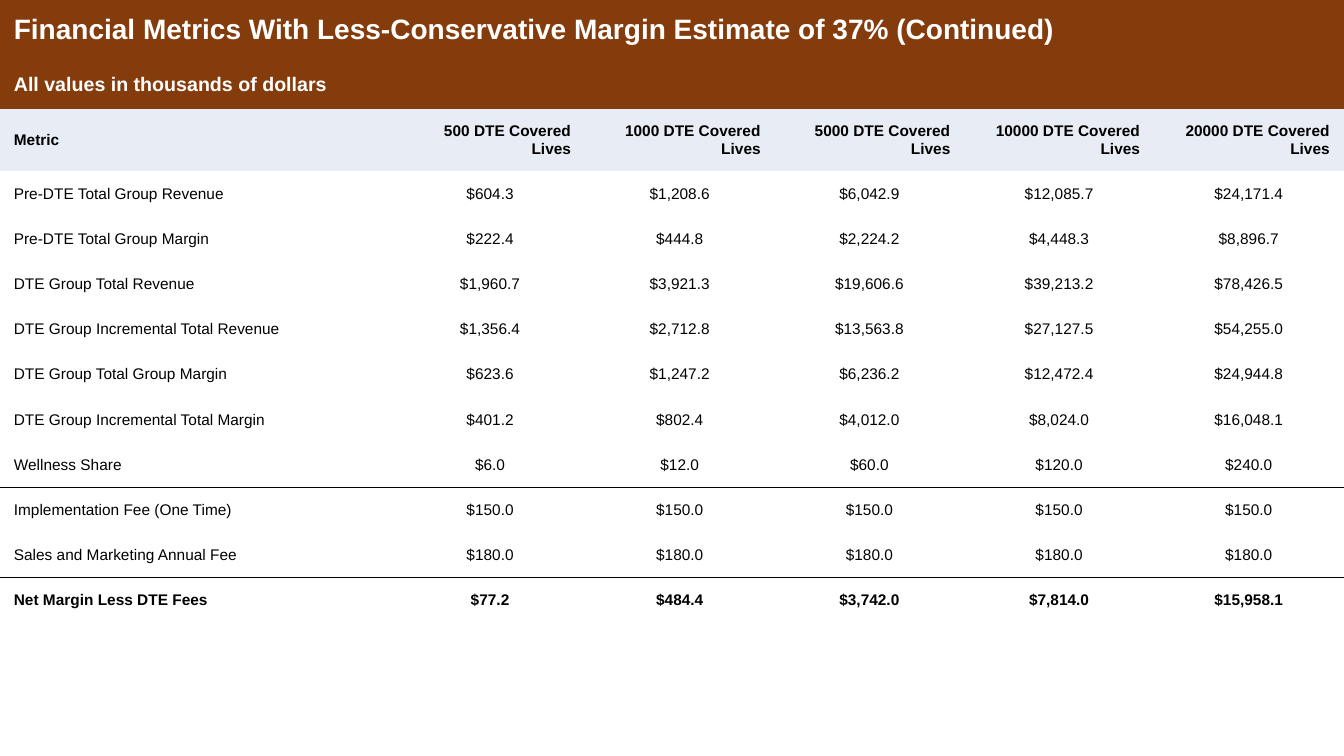
"""Build a slide with a table of financial metrics by number of covered lives."""

from dataclasses import dataclass

from lxml.etree import SubElement
from pptx import Presentation
from pptx.dml.color import RGBColor
from pptx.enum.text import MSO_ANCHOR, PP_ALIGN
from pptx.oxml import parse_xml
from pptx.oxml.ns import nsdecls, qn
from pptx.table import Table, _Cell
from pptx.util import Cm, Pt

BROWN, PALE_BLUE, WHITE, BLACK = "843C0C", "E7ECF5", "FFFFFF", "000000"
NO_STYLE = "{2D5ABB26-0587-4C30-8999-92F81FD0307C}"
COLUMN_WIDTHS = [9.96] + [4.78] * 5


@dataclass(frozen=True)
class RowStyle:
    height: float = 1.14
    size: int = 11
    bold: bool = False
    color: str = BLACK
    fill: str | None = None
    value_alignment: PP_ALIGN = PP_ALIGN.CENTER
    line_above: bool = False
    line_below: bool = False


@dataclass(frozen=True)
class MetricRow:
    texts: tuple[str, ...]
    style: RowStyle = RowStyle()


TITLE = RowStyle(height=1.5, size=20, bold=True, color=WHITE, fill=BROWN)
SUBTITLE = RowStyle(height=1.25, size=14, bold=True, color=WHITE, fill=BROWN)
HEADER = RowStyle(height=1.56, bold=True, fill=PALE_BLUE, value_alignment=PP_ALIGN.RIGHT)
SECTION_START = RowStyle(line_above=True)
SECTION_END = RowStyle(line_below=True)
TOTAL = RowStyle(bold=True, line_above=True)

ROWS = [
    MetricRow(("Financial Metrics With Less-Conservative Margin Estimate of 37% (Continued)",), TITLE),
    MetricRow(("All values in thousands of dollars",), SUBTITLE),
    MetricRow(
        ("Metric", *(f"{lives} DTE Covered Lives" for lives in (500, 1000, 5000, 10000, 20000))),
        HEADER,
    ),
    MetricRow(("Pre-DTE Total Group Revenue", "$604.3", "$1,208.6", "$6,042.9", "$12,085.7", "$24,171.4")),
    MetricRow(("Pre-DTE Total Group Margin", "$222.4", "$444.8", "$2,224.2", "$4,448.3", "$8,896.7")),
    MetricRow(("DTE Group Total Revenue", "$1,960.7", "$3,921.3", "$19,606.6", "$39,213.2", "$78,426.5")),
    MetricRow(
        ("DTE Group Incremental Total Revenue", "$1,356.4", "$2,712.8", "$13,563.8", "$27,127.5", "$54,255.0")
    ),
    MetricRow(("DTE Group Total Group Margin", "$623.6", "$1,247.2", "$6,236.2", "$12,472.4", "$24,944.8")),
    MetricRow(("DTE Group Incremental Total Margin", "$401.2", "$802.4", "$4,012.0", "$8,024.0", "$16,048.1")),
    MetricRow(("Wellness Share", "$6.0", "$12.0", "$60.0", "$120.0", "$240.0"), SECTION_END),
    MetricRow(("Implementation Fee (One Time)", *["$150.0"] * 5), SECTION_START),
    MetricRow(("Sales and Marketing Annual Fee", *["$180.0"] * 5), SECTION_END),
    MetricRow(("Net Margin Less DTE Fees", "$77.2", "$484.4", "$3,742.0", "$7,814.0", "$15,958.1"), TOTAL),
]


def rgb(color: str) -> RGBColor:
    return RGBColor.from_string(color)


def set_borders(cell: _Cell, style: RowStyle) -> None:
    properties = cell._tc.get_or_add_tcPr()
    sides = {"lnL": False, "lnR": False, "lnT": style.line_above, "lnB": style.line_below}
    for position, (tag, visible) in enumerate(sides.items()):
        border = parse_xml(f'<a:{tag} {nsdecls("a")} w="{Pt(1)}"/>')
        if visible:
            fill = SubElement(border, qn("a:solidFill"))
            SubElement(fill, qn("a:srgbClr"), val=BLACK)
        else:
            SubElement(border, qn("a:noFill"))
        properties.insert(position, border)


def format_cell(cell: _Cell, text: str, style: RowStyle, alignment: PP_ALIGN) -> None:
    cell.text = text
    cell.vertical_anchor = MSO_ANCHOR.MIDDLE
    cell.margin_left = cell.margin_right = Cm(0.35)
    cell.margin_top = cell.margin_bottom = 0
    if style.fill:
        cell.fill.solid()
        cell.fill.fore_color.rgb = rgb(style.fill)
    else:
        cell.fill.background()
    paragraph = cell.text_frame.paragraphs[0]
    paragraph.alignment = alignment
    paragraph.font.name = "Arial"
    paragraph.font.size = Pt(style.size)
    paragraph.font.bold = style.bold
    paragraph.font.color.rgb = rgb(style.color)
    set_borders(cell, style)


def fill_row(table: Table, index: int, row: MetricRow) -> None:
    table.rows[index].height = Cm(row.style.height)
    if len(row.texts) == 1:
        table.cell(index, 0).merge(table.cell(index, len(COLUMN_WIDTHS) - 1))
    for column, text in enumerate(row.texts):
        alignment = row.style.value_alignment if column else PP_ALIGN.LEFT
        format_cell(table.cell(index, column), text, row.style, alignment)


def main() -> None:
    presentation = Presentation()
    presentation.slide_width, presentation.slide_height = Cm(33.87), Cm(19.05)
    slide = presentation.slides.add_slide(presentation.slide_layouts.get_by_name("Blank"))
    height = sum(row.style.height for row in ROWS)
    frame = slide.shapes.add_table(
        len(ROWS), len(COLUMN_WIDTHS), 0, 0, Cm(sum(COLUMN_WIDTHS)), Cm(height)
    )
    table = frame.table
    table.first_row = table.horz_banding = False
    table._tbl.tblPr.find(qn("a:tableStyleId")).text = NO_STYLE
    for column, width in zip(table.columns, COLUMN_WIDTHS):
        column.width = Cm(width)
    for index, row in enumerate(ROWS):
        fill_row(table, index, row)
    presentation.save("out.pptx")


if __name__ == "__main__":
    main()
